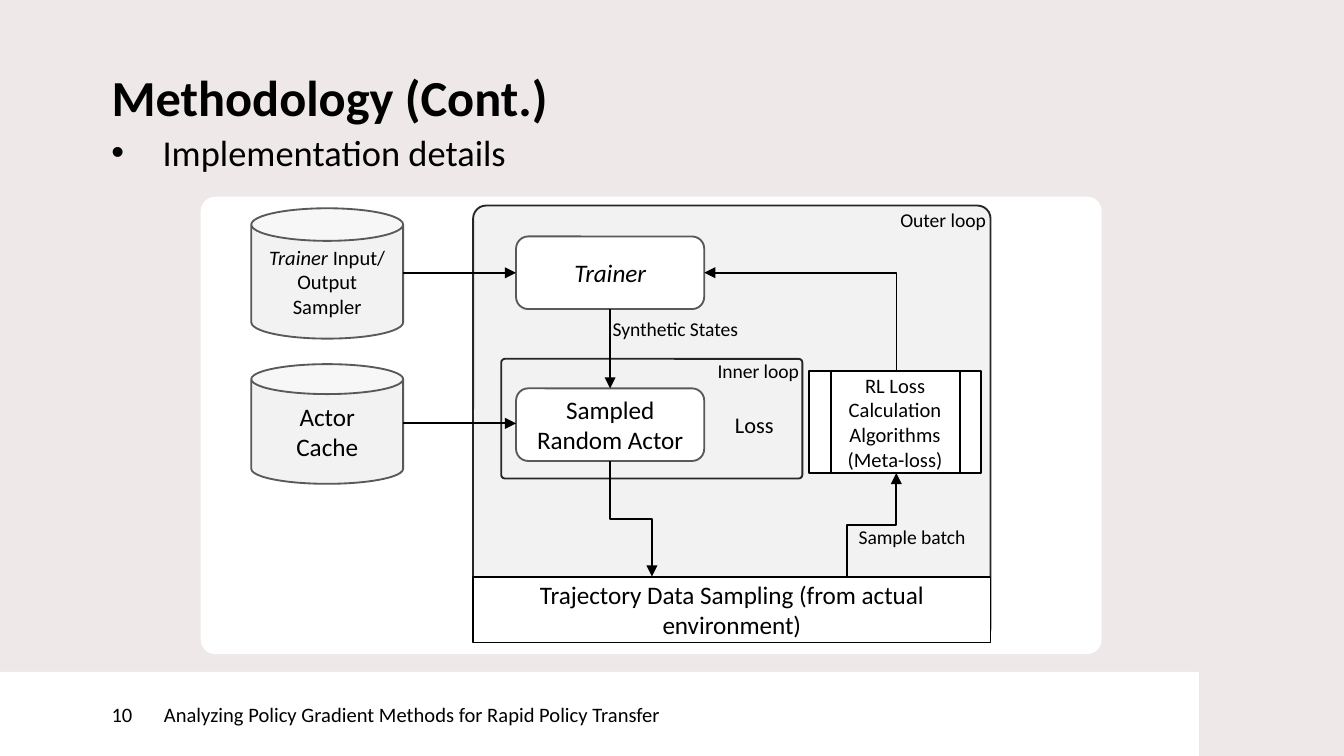
from lxml import etree
from pptx import Presentation
from pptx.dml.color import RGBColor
from pptx.enum.shapes import MSO_CONNECTOR, MSO_SHAPE
from pptx.enum.text import MSO_ANCHOR, PP_ALIGN
from pptx.oxml.ns import qn
from pptx.util import Inches, Pt

RECT, ROUND, CAN = MSO_SHAPE.RECTANGLE, MSO_SHAPE.ROUNDED_RECTANGLE, MSO_SHAPE.CAN
PROCESS = MSO_SHAPE.FLOWCHART_PREDEFINED_PROCESS
STRAIGHT, ELBOW = MSO_CONNECTOR.STRAIGHT, MSO_CONNECTOR.ELBOW
LEFT, CENTER = PP_ALIGN.LEFT, PP_ALIGN.CENTER
TOP, MIDDLE = MSO_ANCHOR.TOP, MSO_ANCHOR.MIDDLE
FONT = "Calibri"
COLORS = {"back": "EEE8E8", "white": "FFFFFF", "pale": "F2F2F2",
          "dark": "262626", "gray": "595959", "black": "000000"}

# Content: a paragraph is a string or a list of (text, italic) runs
TITLE = "Methodology (Cont.)"
BULLET = "Implementation details"
FOOTER = [  # left, width, left inset, text
    (1.22, 7.7, 0, "Analyzing Policy Gradient Methods for Rapid Policy Transfer"),
    (0, 1.22, 0.83, "10"),
]
FRAMES = [  # box, corner, fill, line
    ((1.5, 1.47, 6.69, 3.39), 0.03, "white", "white"),
    ((3.52, 1.53, 3.85, 3.24), 0.03, "pale", "dark"),
    ((3.73, 2.67, 2.24, 0.89), 0.03, "pale", "dark"),
]
NODES = [  # shape, box, corner, fill, line, size, paragraphs
    (ROUND, (3.84, 2.89, 1.4, 0.54), None, "white", "gray", 13.5, ["Sampled Random Actor"]),
    (ROUND, (3.84, 1.76, 1.4, 0.54), None, "white", "gray", 13.5, [[("Trainer", True)]]),
    (CAN, (1.87, 2.71, 1.13, 0.89), None, "pale", "gray", 13.5, ["Actor", "Cache"]),
    (CAN, (1.87, 1.55, 1.13, 0.97), None, "pale", "gray", 11,
     [[("Trainer", True), (" Input/ Output Sampler", False)]]),
    (ROUND, (3.52, 4.29, 3.85, 0.49), 0, "white", "black", 13.5,
     ["Trajectory Data Sampling (from actual environment)"]),
    (PROCESS, (6.02, 2.76, 1.28, 0.76), None, "white", "black", 11,
     ["RL Loss Calculation", "Algorithms", "(Meta-loss)"]),
]
LABELS = [  # box, size, text
    ((5.24, 2.62, 0.88, 0.28), 10.5, "Inner loop"),
    ((6.6, 1.5, 0.88, 0.28), 10.5, "Outer loop"),
    ((5.37, 3.01, 0.56, 0.3), 12, "Loss"),
    ((4.46, 2.31, 1.32, 0.28), 10.5, "Synthetic States"),
    ((6.29, 3.86, 1.02, 0.28), 10.5, "Sample batch"),
]
ARROWS = [  # from, to
    ((3, 3.15), (3.84, 3.15)),
    ((3, 2.03), (3.84, 2.03)),
    ((4.54, 2.3), (4.54, 2.89)),
]
BENDS = [  # from, to, preset, turn in degrees, flips
    ((6.67, 2.76), (5.24, 2.03), "bentConnector2", 270, ["flipV"]),
    ((6.3, 4.29), (6.67, 3.52), "bentConnector3", 90, ["flipH", "flipV"]),
    ((4.54, 3.43), (4.85, 4.29), "bentConnector3", 270, ["flipH"]),
]


def rgb(name):
    return RGBColor.from_string(COLORS[name])


def write(frame, paras, size, align=LEFT, anchor=TOP, inset=None, bold=None):
    frame.word_wrap = True
    frame.vertical_anchor = anchor
    if inset is not None:
        frame.margin_left = Inches(inset)
        frame.margin_top = frame.margin_right = frame.margin_bottom = 0
    for i, runs in enumerate(paras):
        para = frame.paragraphs[0] if i == 0 else frame.add_paragraph()
        para.alignment = align
        for text, slant in [(runs, None)] if isinstance(runs, str) else runs:
            run = para.add_run()
            run.text = text
            run.font.italic = slant
        font = para.font
        font.name, font.size, font.bold = FONT, Pt(size), bold
        font.color.rgb = rgb("black")


def add_box(kind, box, fill, line=None, corner=None):
    shape = slide.shapes.add_shape(kind, *map(Inches, box))
    shape.shadow.inherit = False
    shape.fill.solid()
    shape.fill.fore_color.rgb = rgb(fill)
    if line:
        shape.line.color.rgb = rgb(line)
        shape.line.width = Pt(1)
    else:
        shape.line.fill.background()
    if corner is not None:
        shape.adjustments[0] = corner
    return shape


def add_label(box, paras, size, **style):
    label = slide.shapes.add_textbox(*map(Inches, box))
    write(label.text_frame, paras, size, **style)
    return label


def add_arrow(kind, start, end):
    arrow = slide.shapes.add_connector(kind, *map(Inches, start + end))
    arrow.line.color.rgb = rgb("black")
    arrow.line.width = Pt(1)
    etree.SubElement(arrow.line._get_or_add_ln(), qn("a:tailEnd"), type="triangle")
    etree.SubElement(arrow._element.spPr, qn("a:effectLst"))
    return arrow


def add_bend(start, end, preset, turn, flips):
    arrow = add_arrow(ELBOW, start, end)
    (x1, y1), (x2, y2) = start, end
    wide, high = abs(y2 - y1), abs(x2 - x1)  # sides swap under a quarter turn
    arrow.left, arrow.top = Inches((x1 + x2 - wide) / 2), Inches((y1 + y2 - high) / 2)
    arrow.width, arrow.height = Inches(wide), Inches(high)
    props = arrow._element.spPr
    props.find(qn("a:prstGeom")).set("prst", preset)
    frame = props.find(qn("a:xfrm"))
    for flip in ("flipH", "flipV"):
        frame.set(flip, "1" if flip in flips else "0")
    frame.set("rot", str(turn * 60000))


deck = Presentation()
deck.slide_width, deck.slide_height = Inches(10), Inches(5.625)
slide = deck.slides.add_slide(deck.slide_layouts[5])
slide.background.fill.solid()
slide.background.fill.fore_color.rgb = rgb("back")

# Title and bullet
title = slide.shapes.title
title.left, title.top, title.width, title.height = map(Inches, (0.83, 0.57, 8.26, 0.59))
write(title.text_frame, [TITLE], 27, inset=0, bold=True)
title.text_frame.paragraphs[0].line_spacing = Pt(27)

body = add_label((0.83, 0.97, 7.8, 0.38), [], 19.5, inset=0)
props = body.text_frame.paragraphs[0]._p.get_or_add_pPr()
props.set("marL", str(Inches(0.38)))
props.set("indent", str(-Inches(0.38)))
etree.SubElement(props, qn("a:buFont"), typeface="Arial")
etree.SubElement(props, qn("a:buChar"), char="•")
write(body.text_frame, [BULLET], 19.5, inset=0)

# Footer
for left, width, inset, text in FOOTER:
    bar = add_box(RECT, (left, 5, width, 0.63), "white")
    write(bar.text_frame, [text], 11, anchor=MIDDLE, inset=inset)

# Diagram
for box, corner, fill, line in FRAMES:
    add_box(ROUND, box, fill, line, corner)
for kind, box, corner, fill, line, size, paras in NODES:
    node = add_box(kind, box, fill, line, corner)
    write(node.text_frame, paras, size, CENTER, MIDDLE)
for start, end in ARROWS:
    add_arrow(STRAIGHT, start, end)
for bend in BENDS:
    add_bend(*bend)
for box, size, text in LABELS:
    add_label(box, [text], size)

deck.save("out.pptx")
